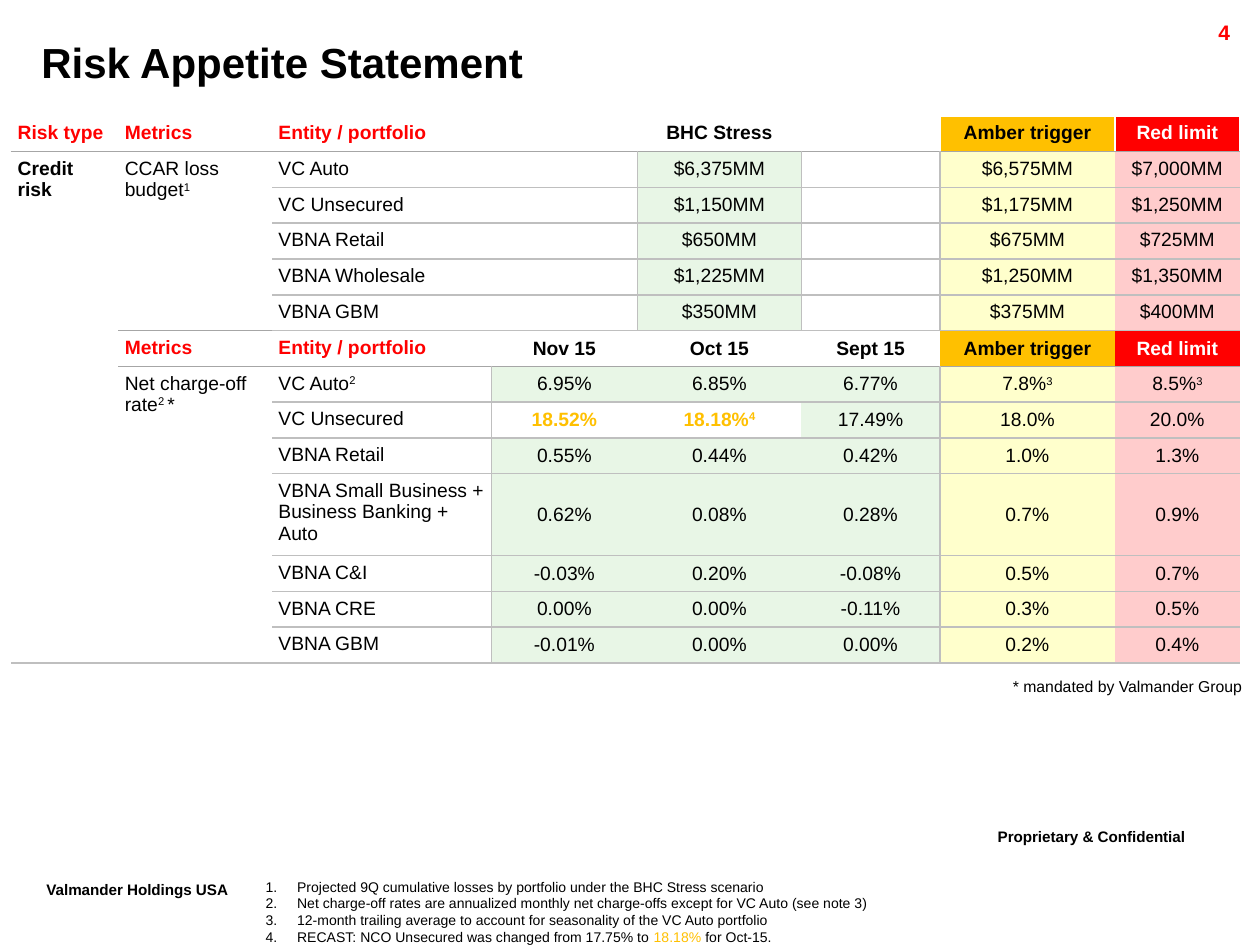
import pptx
import pptx.util
import pptx.dml.color
import pptx.enum.text
from lxml import etree
from pptx.oxml.ns import qn

Inches, Pt = pptx.util.Inches, pptx.util.Pt
ALIGN = pptx.enum.text.PP_ALIGN
ANCHOR = pptx.enum.text.MSO_ANCHOR
HUES = {
    "black": "000000", "white": "FFFFFF", "red": "FF0000", "amber": "FFC000",
    "green": "E8F6E6", "cream": "FFFFCC", "pink": "FFCCCC",
    "light": "BFBFBF", "dark": "A6A6A6",
}


def add_run(para, text, size, hue="black", bold=False, high=False):
    run = para.add_run()
    run.text = text
    run.font.size = Pt(size)
    run.font.name = "Arial"
    run.font.bold = bold
    run.font.color.rgb = pptx.dml.color.RGBColor.from_string(HUES[hue])
    if high:
        run._r.get_or_add_rPr().set("baseline", "30000")


def add_box(slide, left, top, width, height, wrap=True):
    box = slide.shapes.add_textbox(Inches(left), Inches(top), Inches(width), Inches(height))
    box.text_frame.word_wrap = wrap
    return box.text_frame


deck = pptx.Presentation()
deck.slide_width, deck.slide_height = Inches(10), Inches(7.5)
slide = deck.slides.add_slide(deck.slide_layouts[6])

labels = [
    (7.82, 6.49, 2.18, 0.35, True, "Proprietary & Confidential", 15, "black", True, True),
    (0.27, 6.91, 1.91, 0.35, False, "Valmander Holdings USA", 15, "black", True, True),
    (8.91, 0.11, 0.95, 0.24, True, "4", 12, "red", True, False),
    (0.23, 0.24, 9.82, 0.5, True, "Risk Appetite Statement", 24, "black", True, False),
    (7.94, 5.32, 2.02, 0.23, False, "* mandated by Valmander Group", 9, "black", False, False),
]
for left, top, width, height, wrap, *style in labels:
    para = add_box(slide, left, top, width, height, wrap).paragraphs[0]
    add_run(para, *style)
    if style[0] == "4":
        para.alignment = ALIGN.RIGHT

rows = [
    ["Risk type", "Metrics", "Entity / portfolio", "", "BHC Stress", "", "Amber trigger", "Red limit"],
    ["Credit risk", "CCAR loss budget^1", "VC Auto", "", "$6,375MM", "", "$6,575MM", "$7,000MM"],
    ["", "", "VC Unsecured", "", "$1,150MM", "", "$1,175MM", "$1,250MM"],
    ["", "", "VBNA Retail", "", "$650MM", "", "$675MM", "$725MM"],
    ["", "", "VBNA Wholesale", "", "$1,225MM", "", "$1,250MM", "$1,350MM"],
    ["", "", "VBNA GBM", "", "$350MM", "", "$375MM", "$400MM"],
    ["", "Metrics", "Entity / portfolio", "Nov 15", "Oct 15", "Sept 15", "Amber trigger", "Red limit"],
    ["", "Net charge-off rate^2 ^*", "VC Auto^2", "6.95%", "6.85%", "6.77%", "7.8%^3", "8.5%^3"],
    ["", "", "VC Unsecured", "18.52%", "18.18%^4", "17.49%", "18.0%", "20.0%"],
    ["", "", "VBNA Retail", "0.55%", "0.44%", "0.42%", "1.0%", "1.3%"],
    ["", "", "VBNA Small Business + Business Banking + Auto", "0.62%", "0.08%", "0.28%", "0.7%", "0.9%"],
    ["", "", "VBNA C&I", "-0.03%", "0.20%", "-0.08%", "0.5%", "0.7%"],
    ["", "", "VBNA CRE", "0.00%", "0.00%", "-0.11%", "0.3%", "0.5%"],
    ["", "", "VBNA GBM", "-0.01%", "0.00%", "0.00%", "0.2%", "0.4%"],
]
widths = [0.85, 1.22, 1.74, 1.16, 1.3, 1.1, 1.39, 0.99]
heads, tall, count = (0, 6), 10, len(rows)
spans = {(1, 0): 13, (1, 1): 5, (7, 1): 7}
breaks = {0: (0, 1, count), 1: (0, 1, 6, 7, count)}

frame = slide.shapes.add_table(count, 8, Inches(0.09), Inches(0.92), Inches(9.75), Inches(4.33))
table = frame.table
table.first_row = table.horz_banding = False
table._tbl.tblPr.find(qn("a:tableStyleId")).text = "{2D5ABB26-0587-4C30-8999-92F81FD0307C}"
for col, width in zip(table.columns, widths):
    col.width = Inches(width)
for i, row in enumerate(table.rows):
    row.height = Inches(0.65 if i == tall else (4.33 - 0.65) / (count - 1))
for (r, c), span in spans.items():
    table.cell(r, c).merge(table.cell(r + span - 1, c))

for r, texts in enumerate(rows):
    uprights = range(9) if r == 0 else (4, 5, 6) if r < 6 else (3, 6) if r > 6 else ()
    for c, text in enumerate(texts):
        cell = table.cell(r, c)
        cell.margin_left = cell.margin_right = Inches(0.05)
        cell.margin_top = cell.margin_bottom = Inches(0.05)
        cell.vertical_anchor = ANCHOR.MIDDLE if r >= 6 and c > 2 else ANCHOR.TOP

        props = cell._tc.get_or_add_tcPr()
        below = r + spans.get((r, c), 1)
        for tag, edge in (("lnL", c), ("lnR", c + 1), ("lnT", r), ("lnB", below)):
            if tag in ("lnL", "lnR"):
                hue = None if edge not in uprights else "white" if r == 0 else "light"
            elif edge not in breaks.get(c, range(count + 1)):
                hue = None
            else:
                hue = "white" if edge == 0 else "dark" if edge in (1, 7) or (edge, c) == (6, 1) else "light"
            line = etree.SubElement(props, qn("a:" + tag), w=str(Pt(1)))
            if hue:
                solid = etree.SubElement(line, qn("a:solidFill"))
                etree.SubElement(solid, qn("a:srgbClr"), val=HUES[hue])
            else:
                etree.SubElement(line, qn("a:noFill"))

        alert = r == 8 and c in (3, 4)
        if c > 5:
            fill = (("amber", "red") if r in heads else ("cream", "pink"))[c - 6]
        else:
            green = c == 4 and 0 < r < 6 or 3 <= c and r > 6 and not alert
            fill = "green" if green else None
        if fill:
            cell.fill.solid()
            cell.fill.fore_color.rgb = pptx.dml.color.RGBColor.from_string(HUES[fill])
        else:
            cell.fill.background()

        para = cell.text_frame.paragraphs[0]
        para.alignment = ALIGN.CENTER if c > 2 else ALIGN.LEFT
        if not text:
            para.font.size = Pt(11)
            etree.SubElement(para._p, qn("a:endParaRPr"), sz="1100")
            continue
        ink = "amber" if alert else "black"
        if r in heads:
            ink = "red" if c < 3 else "white" if c == 7 else "black"
        bold = r in heads or c == 0 or alert
        for k, part in enumerate(text.split("^")):
            add_run(para, part, 11, ink, bold, k == 1)

notes = [
    [("Projected 9Q cumulative losses by portfolio under the BHC Stress scenario", "black")],
    [("Net charge-off rates are annualized monthly net charge-offs except for VC Auto (see note 3)", "black")],
    [("12-month trailing average to account for seasonality of the VC Auto portfolio", "black")],
    [("RECAST: NCO Unsecured was changed from 17.75% to ", "black"), ("18.18% ", "amber"), ("for Oct-15.", "black")],
]
body = add_box(slide, 2.01, 6.92, 5.13, 0.64)
for i, parts in enumerate(notes):
    para = body.paragraphs[0] if i == 0 else body.add_paragraph()
    props = para._p.get_or_add_pPr()
    props.set("marL", str(Inches(0.25)))
    props.set("indent", str(-Inches(0.25)))
    etree.SubElement(props, qn("a:buFont"), typeface="+mj-lt")
    etree.SubElement(props, qn("a:buAutoNum"), type="arabicPeriod")
    for text, hue in parts:
        add_run(para, text, 8, hue)

deck.save("out.pptx")
